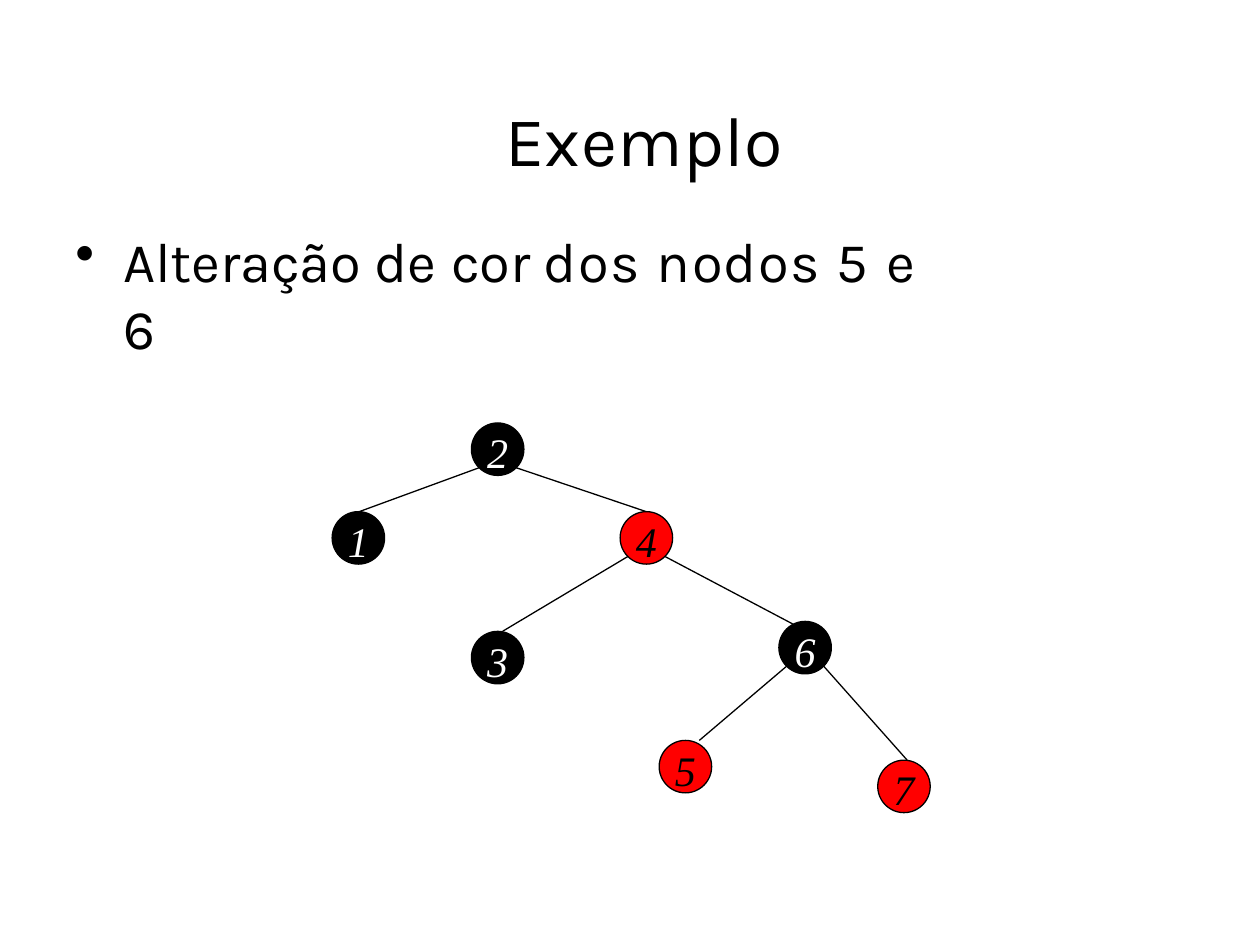
"""Build a slide showing a red-black tree after nodes 5 and 6 change colour."""
import math

from lxml import etree
from pptx import Presentation
from pptx.dml.color import RGBColor
from pptx.enum.shapes import MSO_CONNECTOR, MSO_SHAPE
from pptx.enum.text import MSO_ANCHOR, PP_ALIGN
from pptx.oxml.ns import qn
from pptx.util import Pt

STRAIGHT = MSO_CONNECTOR.STRAIGHT
OVAL = MSO_SHAPE.OVAL
TOP, MIDDLE = MSO_ANCHOR.TOP, MSO_ANCHOR.MIDDLE
CENTER = PP_ALIGN.CENTER

THEME = {
    "black": RGBColor(0, 0, 0),
    "red": RGBColor(255, 0, 0),
    "white": RGBColor(255, 255, 255),
    "font": "Karla",
    "node_font": "Times New Roman",
    "title": Pt(40),
    "body": Pt(32),
    "node": Pt(24),
    "line": Pt(0.75),
}
DIAMETER = 30
CORNER = DIAMETER / 2 * math.sqrt(0.5)


def add_text(s, box, inset_top, margin, indent, bullet, size, parts):
    sp = s.shapes.add_textbox(*map(Pt, box))
    tf = sp.text_frame
    tf.word_wrap = True
    tf.vertical_anchor = TOP
    tf.margin_left = tf.margin_right = tf.margin_bottom = 0
    tf.margin_top = Pt(inset_top)
    p = tf.paragraphs[0]
    pPr = p._p.get_or_add_pPr()
    pPr.set("marL", str(Pt(margin)))
    pPr.set("indent", str(Pt(indent)))
    if bullet:
        etree.SubElement(pPr, qn("a:buChar")).set("char", bullet)
    for text, spacing in parts:
        r = p.add_run()
        r.text = text
        r.font.name = THEME["font"]
        r.font.size = size
        r.font.color.rgb = THEME["black"]
        r._r.get_or_add_rPr().set("spc", str(spacing))


prs = Presentation()
prs.slide_width, prs.slide_height = Pt(720), Pt(540)
s = prs.slides.add_slide(prs.slide_layouts[6])

add_text(s, (96.5, -5, 527, 145.4), 72, 192.2, 0, None, THEME["title"],
         [("Exemplo", 30)])
add_text(s, (42.5, 129.6, 503.3, 38.2), 0, 28, -27.4, "•", THEME["body"],
         [("Alteração ", -10), ("de ", 30), ("cor ", -10), ("dos ", 90),
          ("nodos ", 80), ("5 ", 150), ("e ", 20), ("6", 150)])

nodes = {
    "2": (284.4, 256.7, "black"),
    "1": (204.8, 307.4, "black"),
    "4": (369.4, 307.4, "red"),
    "3": (284.4, 375.8, "black"),
    "6": (460.1, 370.1, "black"),
    "5": (391.7, 438.1, "red"),
    "7": (516.6, 449.4, "red"),
}
edges = [
    ("2", 1, 369.4, 292.4),
    ("2", -1, 205.2, 292.4),
    ("4", 1, 460.8, 360.7),
    ("4", -1, 287.3, 360.7),
    ("6", 1, 518.4, 434.4),
    ("6", -1, 399.6, 423.1),
]

for parent, side, end_x, end_y in edges:
    x, y, _ = nodes[parent]
    line = s.shapes.add_connector(STRAIGHT, Pt(x + side * CORNER), Pt(y + CORNER),
                                  Pt(end_x), Pt(end_y))
    line.line.color.rgb = THEME["black"]
    line.line.width = THEME["line"]
    etree.SubElement(line._element.spPr, qn("a:effectLst"))

for label, (x, y, color) in nodes.items():
    sp = s.shapes.add_shape(OVAL, Pt(x - DIAMETER / 2), Pt(y - DIAMETER / 2),
                            Pt(DIAMETER), Pt(DIAMETER))
    sp.shadow.inherit = False
    sp.fill.solid()
    sp.fill.fore_color.rgb = THEME[color]
    sp.line.color.rgb = THEME["black"]
    sp.line.width = THEME["line"]
    tf = sp.text_frame
    tf.text = label
    tf.word_wrap = False
    tf.vertical_anchor = MIDDLE
    tf.margin_left = tf.margin_right = tf.margin_bottom = 0
    tf.margin_top = Pt(3)
    p = tf.paragraphs[0]
    p.alignment = CENTER
    font = p.runs[0].font
    font.name = THEME["node_font"]
    font.size = THEME["node"]
    font.italic = True
    font.color.rgb = THEME["white" if color == "black" else "black"]

prs.save("out.pptx")
